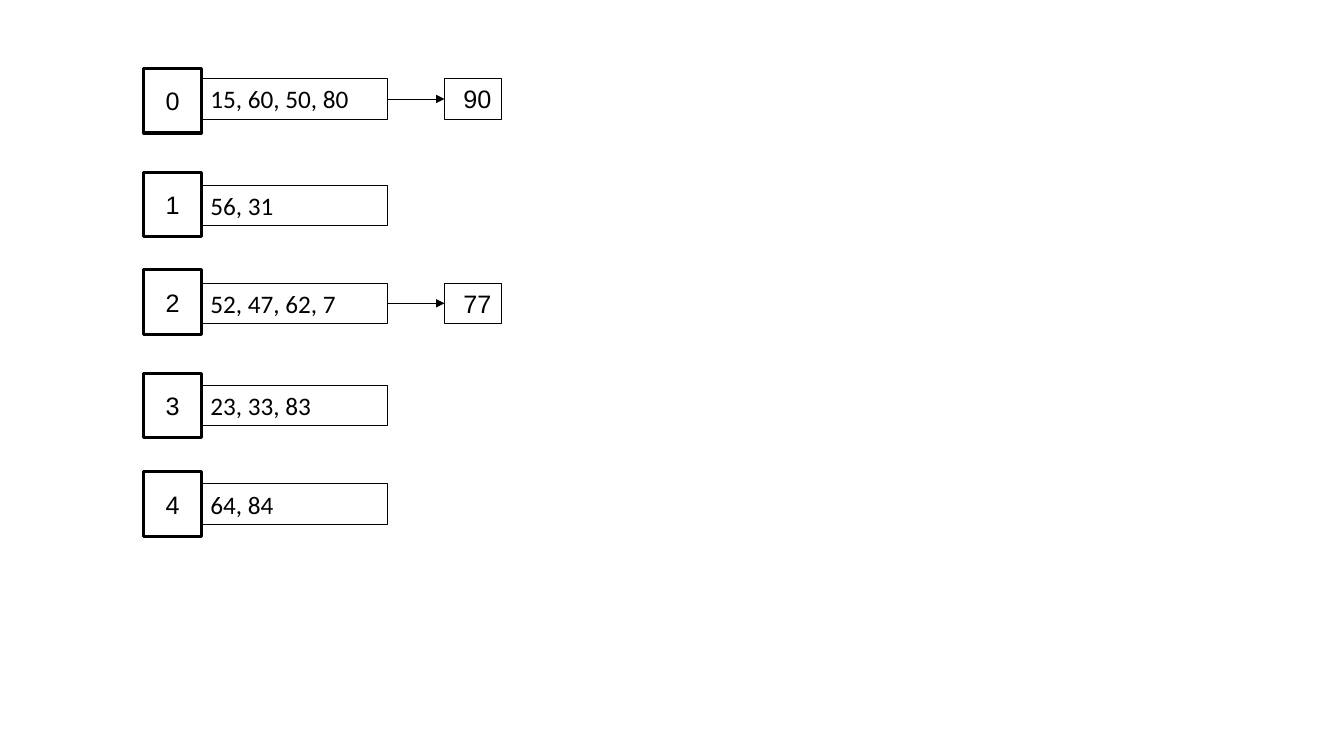
from lxml.etree import SubElement
from pptx import Presentation
from pptx.dml.color import RGBColor
from pptx.enum.shapes import MSO_CONNECTOR, MSO_SHAPE
from pptx.enum.text import MSO_ANCHOR, MSO_AUTO_SIZE, PP_ALIGN
from pptx.oxml import parse_xml
from pptx.oxml.ns import nsdecls, qn
from pptx.util import Pt

BLACK = RGBColor(0, 0, 0)
WHITE = RGBColor(255, 255, 255)
FONT = {"name": "Calibri", "size": Pt(18)}
LABEL = {"vertical_anchor": MSO_ANCHOR.MIDDLE, "word_wrap": True}
VALUES = {"vertical_anchor": MSO_ANCHOR.TOP, "word_wrap": True,
          "auto_size": MSO_AUTO_SIZE.SHAPE_TO_FIT_TEXT}

BUCKET_W, BUCKET_H = 41, 46.2
STRIP_W, STRIP_H = 133.8, 29
ARROW_W, OVERFLOW_W = 40.4, 40.5
LEFT = 102.8
ROWS = [
    (48.8, 7.4, "15, 60, 50, 80", "90"),
    (123, 9.4, "56, 31", None),
    (192.8, 9.4, "52, 47, 62, 7", "77"),
    (266.6, 8.6, "23, 33, 83", None),
    (337, 8.6, "64, 84", None),
]


def add_cell(s, box, text, line, frame, align, fill=None, rtl=False):
    """Add a bordered rectangle with one line of text."""
    sp = s.shapes.add_shape(MSO_SHAPE.RECTANGLE, *map(Pt, box))
    sp.shadow.inherit = False
    if fill is None:
        sp.fill.background()
    else:
        sp.fill.solid()
        sp.fill.fore_color.rgb = fill
    sp.line.color.rgb = BLACK
    sp.line.width = Pt(line)
    tf = sp.text_frame
    for name, value in frame.items():
        setattr(tf, name, value)
    p = tf.paragraphs[0]
    p.alignment = align
    r = p.add_run()
    r.text = text
    for name, value in FONT.items():
        setattr(r.font, name, value)
    r.font.color.rgb = BLACK
    if rtl:
        p._p.get_or_add_pPr().set("rtl", "1")
        SubElement(r._r.get_or_add_rPr(), qn("a:cs")).set("typeface", "Arial")
    return r


def add_bucket(s, left, top, number):
    """Add a numbered bucket with outlined digits."""
    r = add_cell(s, (left, top, BUCKET_W, BUCKET_H), number, 2.25, LABEL,
                 PP_ALIGN.CENTER, WHITE, True)
    r._r.get_or_add_rPr().insert(0, parse_xml(
        f'<a:ln {nsdecls("a")} w="9525"><a:solidFill>'
        f'<a:srgbClr val="{BLACK}"/></a:solidFill></a:ln>'))


def add_arrow(s, left, y):
    """Add the arrow from a strip to its overflow cell."""
    c = s.shapes.add_connector(MSO_CONNECTOR.STRAIGHT, Pt(left), Pt(y),
                               Pt(left + ARROW_W), Pt(y))
    c.line.color.rgb = BLACK
    c.line.width = Pt(0.5)
    SubElement(c.line._get_or_add_ln(), qn("a:tailEnd")).set("type", "triangle")
    SubElement(c._element.spPr, qn("a:effectLst"))


def add_row(s, left, top, number, drop, values, overflow):
    """Add a bucket, its values and any overflow."""
    add_bucket(s, left, top, number)
    strip_left, strip_top = left + BUCKET_W - 0.5, top + drop
    add_cell(s, (strip_left, strip_top, STRIP_W, STRIP_H), values, 0.75, VALUES,
             PP_ALIGN.LEFT)
    if overflow:
        arrow_left = strip_left + STRIP_W
        add_arrow(s, arrow_left, strip_top + STRIP_H / 2)
        add_cell(s, (arrow_left + ARROW_W, strip_top, OVERFLOW_W, STRIP_H),
                 overflow, 0.75, VALUES, PP_ALIGN.RIGHT, rtl=True)


def add_hash_slide(prs):
    """Add the slide of hash buckets."""
    s = prs.slides.add_slide(prs.slide_layouts[6])
    for number, (top, drop, values, overflow) in enumerate(ROWS):
        add_row(s, LEFT, top, str(number), drop, values, overflow)


prs = Presentation()
prs.slide_width, prs.slide_height = Pt(960), Pt(540)
add_hash_slide(prs)
prs.save("out.pptx")
